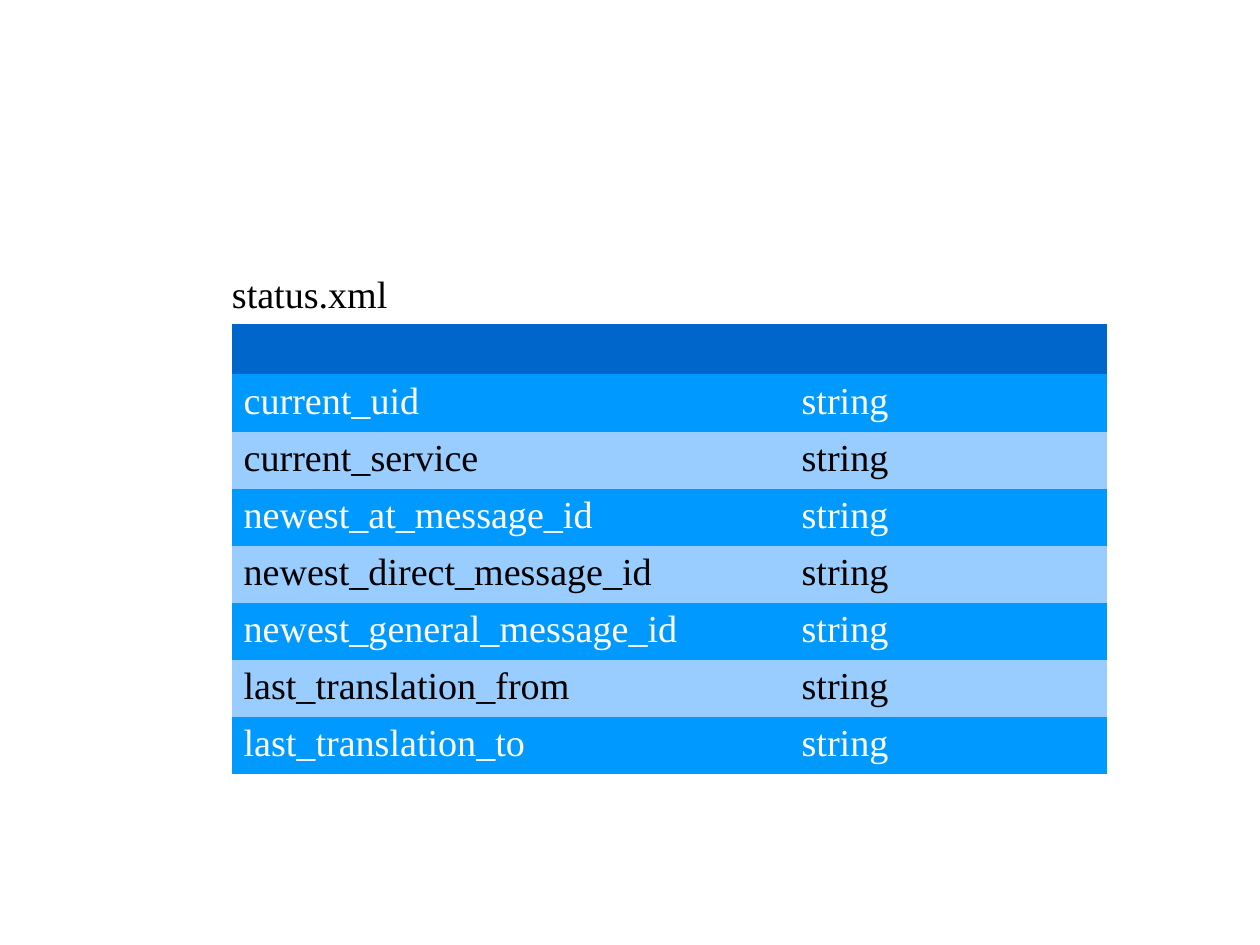
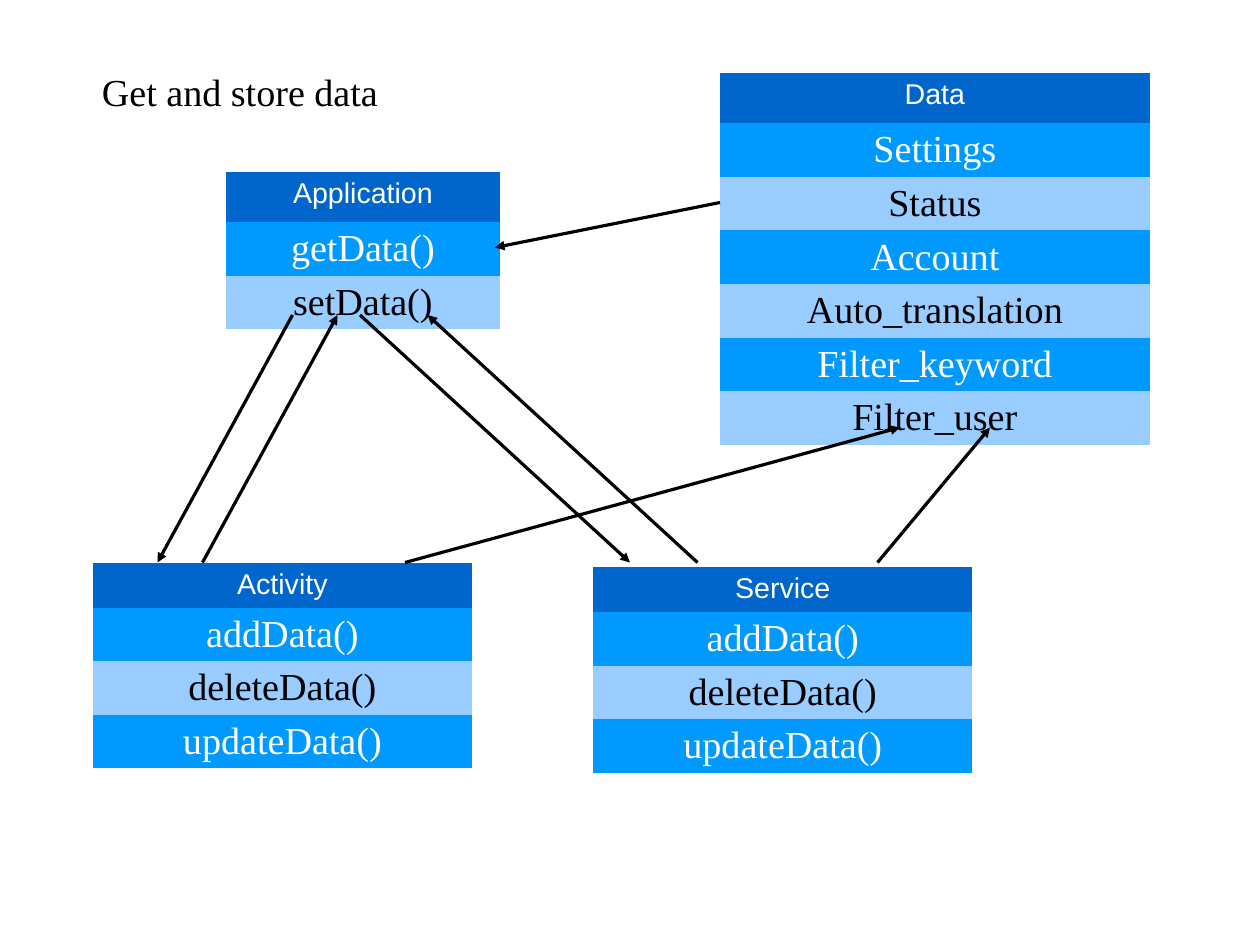
"""Builds two slides: the fields of a status file and the flow of stored data."""
from lxml.etree import SubElement
from pptx import Presentation
from pptx.dml.color import RGBColor
from pptx.enum.shapes import MSO_CONNECTOR
from pptx.enum.text import MSO_ANCHOR, MSO_AUTO_SIZE, PP_ALIGN
from pptx.oxml.ns import qn
from pptx.util import Cm, Pt

HEADER_FILL = "0066CC"
BODY_FILLS = ("0099FF", "99CCFF")
BODY_COLOURS = ("FFFFFF", "000000")
TITLE_FONT = {"name": "Times New Roman", "size": Pt(24), "bold": False}
BODY_FONT = TITLE_FONT
HEADER_FONT = {"name": "Arial", "size": Pt(18), "bold": False}

STATUS_FIELDS = [
    "current_uid", "current_service", "newest_at_message_id",
    "newest_direct_message_id", "newest_general_message_id",
    "last_translation_from", "last_translation_to",
]
DATA_METHODS = [("addData()",), ("deleteData()",), ("updateData()",)]

SLIDES = [
    {
        "title": ("status.xml", 4.9, 5.89, 6),
        "tables": [
            {"at": (5.16, 7.21), "columns": (12.4, 7.04), "heights": (1.11, 1.27),
             "align": PP_ALIGN.LEFT, "header": ("", ""),
             "body": [(field, "string") for field in STATUS_FIELDS]},
        ],
        "arrows": [],
    },
    {
        "title": ("Get and store data", 2.01, 1.4, 9),
        "tables": [
            {"at": (5.03, 3.83), "columns": (6.07,), "heights": (1.11, 1.19),
             "align": PP_ALIGN.CENTER, "header": ("Application",),
             "body": [("getData()",), ("setData()",)]},
            {"at": (16, 1.63), "columns": (9.55,), "heights": (1.11, 1.19),
             "align": PP_ALIGN.CENTER, "header": ("Data",),
             "body": [("Settings",), ("Status",), ("Account",), ("Auto_translation",),
                      ("Filter_keyword",), ("Filter_user",)]},
            {"at": (2.06, 12.5), "columns": (8.43,), "heights": (1, 1.19),
             "align": PP_ALIGN.CENTER, "header": ("Activity",), "body": DATA_METHODS},
            {"at": (13.18, 12.6), "columns": (8.43,), "heights": (1, 1.19),
             "align": PP_ALIGN.CENTER, "header": ("Service",), "body": DATA_METHODS},
        ],
        "arrows": [
            (16, 4.5, 11, 5.5),
            (6.5, 7, 3.5, 12.5),
            (8, 7, 14, 12.5),
            (9, 12.5, 20, 9.5),
            (19.5, 12.5, 22, 9.5),
            (4.5, 12.5, 7.5, 7),
            (15.5, 12.5, 9.5, 7),
        ],
    },
]


def colour(value):
    """Turn a hex string into a colour."""
    return RGBColor.from_string(value)


def write(frame, text, font, text_colour, align):
    """Put one formatted line into a text frame."""
    para = frame.paragraphs[0]
    para.alignment = align
    span = para.add_run()
    span.text = text
    for name, value in font.items():
        setattr(span.font, name, value)
    span.font.color.rgb = colour(text_colour)


def place_title(page, text, left, top, width):
    """Move and format the title placeholder."""
    box = page.shapes.title
    box.left, box.top, box.width, box.height = map(Cm, (left, top, width, 1.19))
    settings = {"word_wrap": True, "auto_size": MSO_AUTO_SIZE.NONE,
                "vertical_anchor": MSO_ANCHOR.TOP}
    for name, value in settings.items():
        setattr(box.text_frame, name, value)
    write(box.text_frame, text, TITLE_FONT, "000000", PP_ALIGN.LEFT)


def place_table(page, at, columns, heights, align, header, body):
    """Add a table with a dark header and alternating body rows."""
    header_height, body_height = heights
    total = header_height + body_height * len(body)
    table = page.shapes.add_table(
        len(body) + 1, len(columns), *map(Cm, (*at, sum(columns), total))).table
    for column, width in zip(table.columns, columns):
        column.width = Cm(width)
    for index, texts in enumerate([header, *body]):
        table.rows[index].height = Cm(body_height if index else header_height)
        if index:
            band = (index - 1) % 2
            fill, text_colour, font = BODY_FILLS[band], BODY_COLOURS[band], BODY_FONT
        else:
            fill, text_colour, font = HEADER_FILL, "FFFFFF", HEADER_FONT
        for cell, text in zip(table.rows[index].cells, texts):
            cell.fill.solid()
            cell.fill.fore_color.rgb = colour(fill)
            if text:
                write(cell.text_frame, text, font, text_colour, align)
    for name in ("first_row", "horz_banding"):
        setattr(table, name, False)
    table._tbl.tblPr.find(qn("a:tableStyleId")).text = "{2D5ABB26-0587-4C30-8999-92F81FD0307C}"


def place_arrow(page, *ends):
    """Add a hairline arrow between two points."""
    arrow = page.shapes.add_connector(MSO_CONNECTOR.STRAIGHT, *map(Cm, ends))
    arrow.line.color.rgb = colour("000000")
    arrow.line.width = Pt(0)
    SubElement(arrow.line._get_or_add_ln(), qn("a:tailEnd"), type="triangle")
    SubElement(arrow._element.spPr, qn("a:effectLst"))


def main():
    """Build and save the deck."""
    deck = Presentation()
    deck.slide_width, deck.slide_height = Cm(28), Cm(21)
    title_only = deck.slide_layouts[5]
    for content in SLIDES:
        page = deck.slides.add_slide(title_only)
        place_title(page, *content["title"])
        for table in content["tables"]:
            place_table(page, **table)
        for ends in content["arrows"]:
            place_arrow(page, *ends)
    deck.save("out.pptx")


if __name__ == "__main__":
    main()
